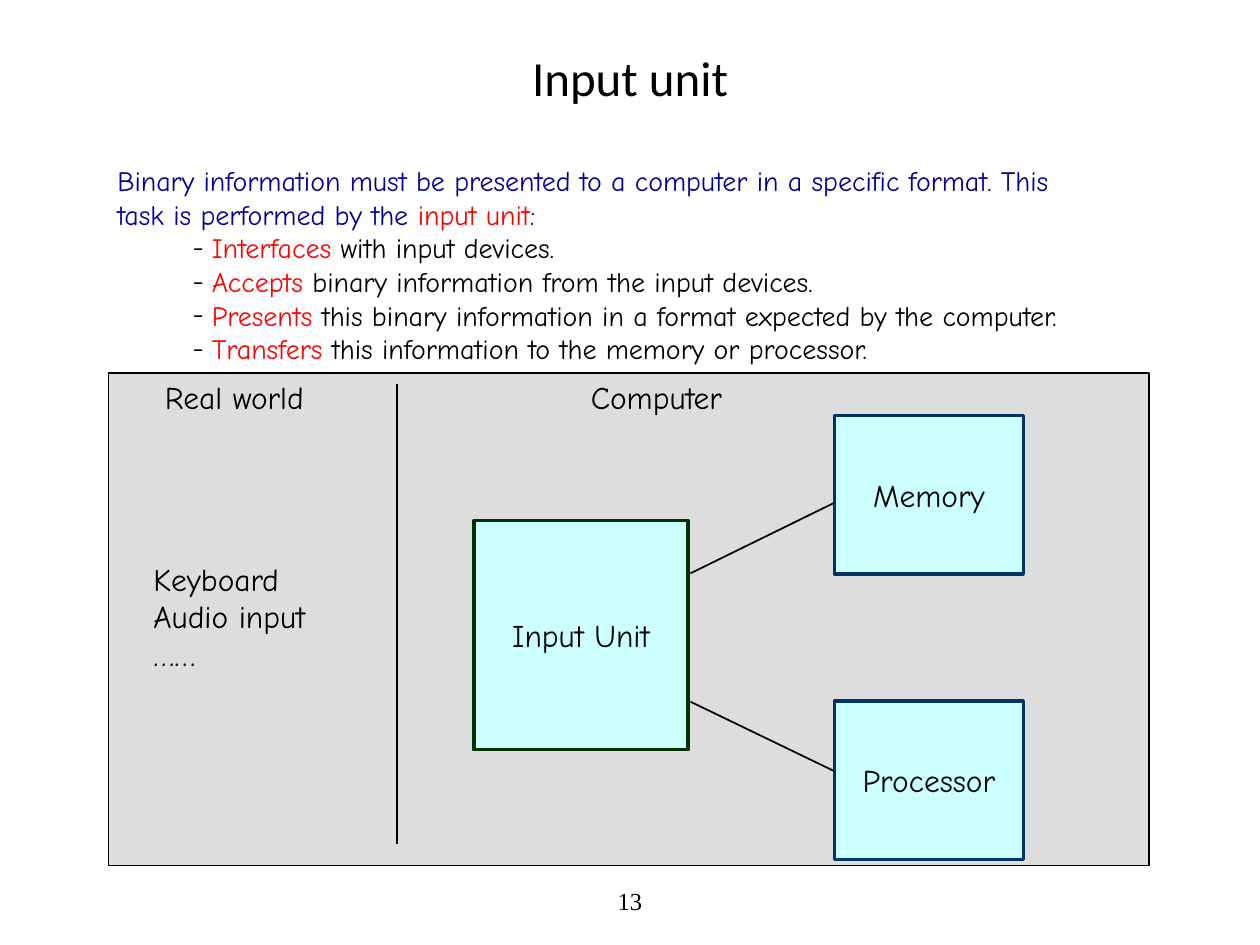
from lxml.etree import SubElement
from pptx import Presentation
from pptx.dml.color import RGBColor
from pptx.enum.shapes import MSO_CONNECTOR, MSO_SHAPE
from pptx.enum.text import MSO_ANCHOR, MSO_AUTO_SIZE, PP_ALIGN
from pptx.oxml.ns import qn
from pptx.util import Pt

COLORS = {
    "black": "000000", "blue": "000099", "red": "FF0000", "panel": "DDDDDD",
    "box": "CCFFFF", "green": "003300", "navy": "003366",
}


def rgb(name):
    return RGBColor.from_string(COLORS[name])


class SlideBuilder:
    label_font = {"name": "Comic Neue", "size": Pt(18)}
    body_font = {"name": "Comic Neue", "size": Pt(16)}
    title_font = {"name": "Calibri", "size": Pt(28)}
    number_font = {"name": "Times New Roman", "size": Pt(14)}

    def __init__(self, prs):
        self.s = prs.slides.add_slide(prs.slide_layouts[1])

    def set_attrs(self, target, values):
        for key, value in values.items():
            setattr(target, key, value)

    def place(self, sp, x, y, w, h):
        values = {"left": x, "top": y, "width": w, "height": h}
        self.set_attrs(sp, {key: Pt(value) for key, value in values.items()})

    def add_runs(self, p, runs, font):
        for text, color in runs:
            r = p.add_run()
            r.text = text
            self.set_attrs(r.font, font)
            r.font.color.rgb = rgb(color)

    def title(self, text, *at):
        sp = self.s.shapes.title
        self.place(sp, *at)
        tf = sp.text_frame
        self.set_attrs(tf, {"vertical_anchor": MSO_ANCHOR.MIDDLE,
                            "auto_size": MSO_AUTO_SIZE.NONE})
        p = tf.paragraphs[0]
        p.alignment = PP_ALIGN.CENTER
        self.add_runs(p, [(text, "black")], self.title_font)

    def body(self, intro, items, *at):
        sp = self.s.placeholders[1]
        self.place(sp, *at)
        tf = sp.text_frame
        self.set_attrs(tf, {"word_wrap": True, "auto_size": MSO_AUTO_SIZE.NONE})
        rows = [(runs, False) for runs in intro]
        rows += [([(verb, "red"), (rest, "black")], True) for verb, rest in items]
        for i, (runs, dashed) in enumerate(rows):
            p = tf.add_paragraph() if i else tf.paragraphs[0]
            p.space_before = Pt(0)
            self.bullet(p, dashed)
            self.add_runs(p, runs, self.body_font)

    def bullet(self, p, dashed):
        pPr = p._p.get_or_add_pPr()
        pPr.set("marL", str(Pt(54 if dashed else 0)))
        pPr.set("indent", str(Pt(-11 if dashed else 0)))
        if dashed:
            color = SubElement(pPr, qn("a:buClr"))
            SubElement(color, qn("a:srgbClr"), val=COLORS["black"])
            SubElement(pPr, qn("a:buFont"), typeface=self.body_font["name"])
            SubElement(pPr, qn("a:buChar"), char="-")
        else:
            SubElement(pPr, qn("a:buNone"))

    def rect(self, fill, line, weight, *at, text=None):
        sp = self.s.shapes.add_shape(MSO_SHAPE.RECTANGLE, *map(Pt, at))
        sp.shadow.inherit = False
        sp.fill.solid()
        sp.fill.fore_color.rgb = rgb(fill)
        sp.line.color.rgb = rgb(line)
        sp.line.width = Pt(weight)
        if text:
            tf = sp.text_frame
            self.set_attrs(tf, {"word_wrap": False,
                                "vertical_anchor": MSO_ANCHOR.MIDDLE})
            p = tf.paragraphs[0]
            p.alignment = PP_ALIGN.CENTER
            self.add_runs(p, [(text, "black")], self.label_font)

    def line(self, *ends):
        cn = self.s.shapes.add_connector(MSO_CONNECTOR.STRAIGHT, *map(Pt, ends))
        cn.line.color.rgb = rgb("black")
        cn.line.width = Pt(1)
        SubElement(cn._element.spPr, qn("a:effectLst"))

    def text(self, lines, *at, font=None, align=PP_ALIGN.LEFT,
             anchor=MSO_ANCHOR.TOP):
        tf = self.s.shapes.add_textbox(*map(Pt, at)).text_frame
        self.set_attrs(tf, {"word_wrap": False, "vertical_anchor": anchor})
        for i, line in enumerate(lines):
            p = tf.add_paragraph() if i else tf.paragraphs[0]
            p.alignment = align
            self.add_runs(p, [(line, "black")], font or self.label_font)


def main():
    prs = Presentation()
    prs.slide_width, prs.slide_height = Pt(720), Pt(540)
    s = SlideBuilder(prs)

    s.title("Input unit", 36, 21.6, 648, 44.6)
    s.body(
        [[("Binary information must be presented to a computer in a specific format. This", "blue")],
         [("task is performed by the ", "blue"), ("input unit", "red"), (":", "blue")]],
        [("Interfaces", " with input devices."),
         ("Accepts", " binary information from the input devices."),
         ("Presents", " this binary information in a format expected by the computer."),
         ("Transfers", " this information to the memory or processor.")],
        59.8, 90, 602.6, 122.4)

    s.rect("panel", "black", 1, 62, 213.2, 594.6, 281.4)
    s.rect("box", "green", 2, 270.8, 297.4, 122.4, 131, text="Input Unit")
    for name, top, start, end in (("Memory", 237.4, 327.6, 287.3),
                                  ("Processor", 400.6, 401, 440.7)):
        s.rect("box", "navy", 2, 476.8, top, 108, 90.7, text=name)
        s.line(394.6, start, 476.8, end)
    s.line(227, 219.6, 227, 482.4)

    s.text(["Real world"], 87.2, 212.4, 100.8, 28.8)
    s.text(["Computer"], 330.5, 212.4, 95, 28.8)
    s.text(["Keyboard", "Audio input", "……"], 80.6, 316.2, 109.4, 93.6)
    s.text(["13"], 246, 500.4, 228, 28.8, font=s.number_font,
           align=PP_ALIGN.CENTER, anchor=MSO_ANCHOR.MIDDLE)

    prs.save("out.pptx")


if __name__ == "__main__":
    main()
